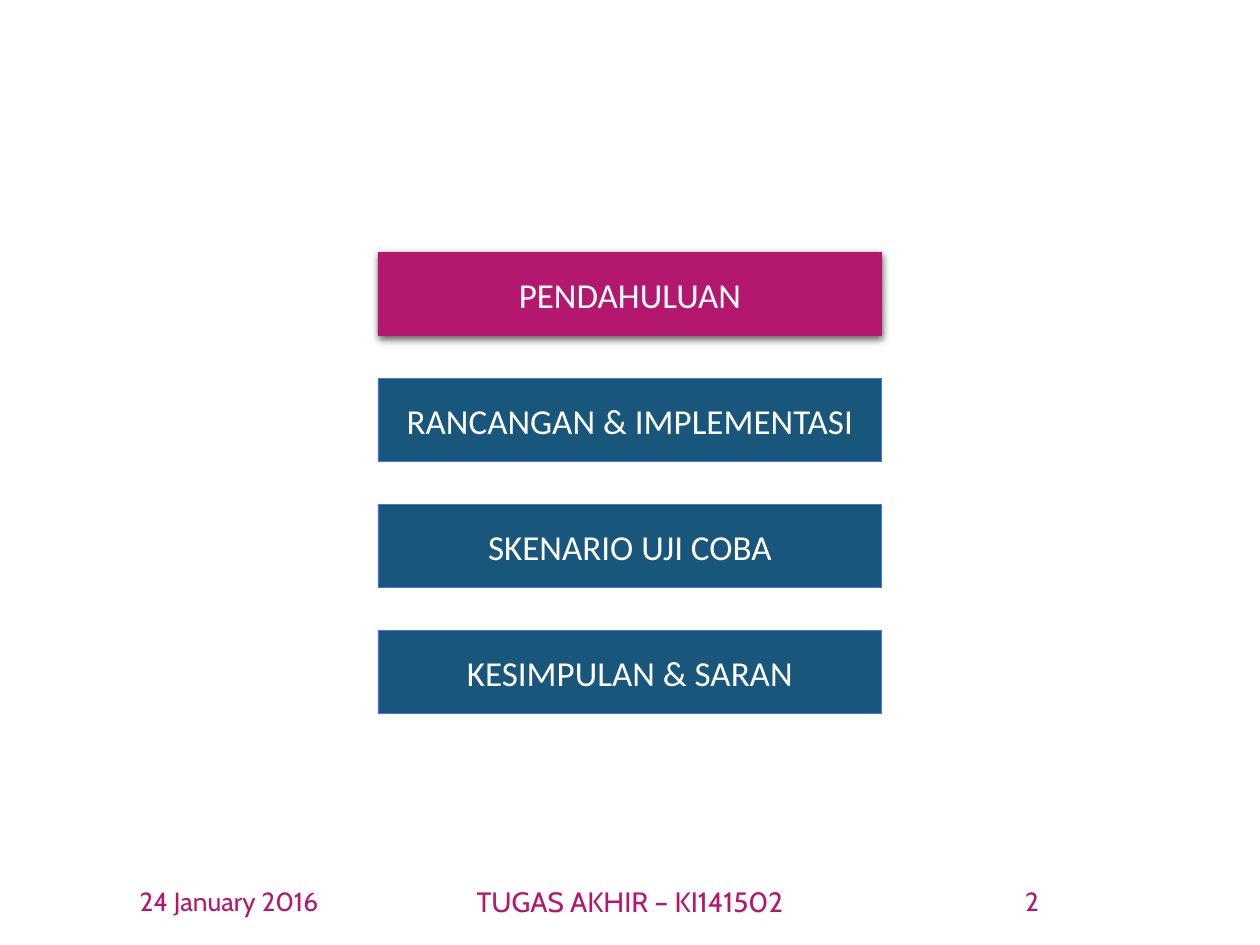
from lxml import etree
from pptx import Presentation
from pptx.dml.color import RGBColor
from pptx.enum.shapes import MSO_SHAPE
from pptx.enum.text import MSO_ANCHOR, PP_ALIGN
from pptx.oxml.ns import qn
from pptx.util import Emu, Pt

RECT = MSO_SHAPE.RECTANGLE
MIDDLE = MSO_ANCHOR.MIDDLE
CENTER = PP_ALIGN.CENTER

COLORS = {"accent": "B4186E", "blue": "19567C", "edge": "4775E7",
          "white": "FFFFFF", "shadow": "000000"}
AGENDA = ["PENDAHULUAN", "RANCANGAN & IMPLEMENTASI", "SKENARIO UJI COBA", "KESIMPULAN & SARAN"]
CURRENT = 0
FOOTER = [
    ("24 January 2016", 87, 284, 15),
    ("TUGAS AKHIR – KI141502", 417, 426, 16),
    ("2", 890, 284, 15),
]
SLIDE_W, SLIDE_H = 1260, 945
BOX_W, BOX_H, BOX_TOP, PITCH = 504, 84, 252, 126
FOOTER_TOP, FOOTER_H = 876, 50
SHADOW = {"blurRad": Pt(4.5), "dist": Pt(1.5), "dir": 90 * 60000, "algn": "ctr", "rotWithShape": 0}
SHADOW_ALPHA = 63000


def px(n):
    return Emu(round(n * 914400 / 126))


def rgb(name):
    return RGBColor.from_string(COLORS[name])


def write(sp, text, color, wrap, fmt):
    tf = sp.text_frame
    tf.word_wrap = wrap
    tf.vertical_anchor = MIDDLE
    p = tf.paragraphs[0]
    p.alignment = CENTER
    r = p.add_run()
    r.text = text
    for key, value in fmt.items():
        setattr(r.font, key, value)
    r.font.color.rgb = rgb(color)


def add_shadow(sp):
    effects = sp._element.spPr.find(qn("a:effectLst"))
    outer = etree.SubElement(effects, qn("a:outerShdw"),
                             {key: str(value) for key, value in SHADOW.items()})
    color = etree.SubElement(outer, qn("a:srgbClr"), val=COLORS["shadow"])
    etree.SubElement(color, qn("a:alpha"), val=str(SHADOW_ALPHA))


prs = Presentation()
prs.slide_width, prs.slide_height = px(SLIDE_W), px(SLIDE_H)
s = prs.slides.add_slide(prs.slide_layouts[6])

for text, left, width, size in FOOTER:
    sp = s.shapes.add_textbox(px(left), px(FOOTER_TOP), px(width), px(FOOTER_H))
    write(sp, text, "accent", True, {"name": "Cabin", "size": Pt(size)})

for i, text in enumerate(AGENDA):
    sp = s.shapes.add_shape(RECT, px((SLIDE_W - BOX_W) / 2), px(BOX_TOP + i * PITCH),
                            px(BOX_W), px(BOX_H))
    sp.shadow.inherit = False
    sp.fill.solid()
    if i == CURRENT:
        sp.fill.fore_color.rgb = rgb("accent")
        sp.line.fill.background()
        add_shadow(sp)
    else:
        sp.fill.fore_color.rgb = rgb("blue")
        sp.line.color.rgb = rgb("edge")
        sp.line.width = Pt(0.5)
    write(sp, text, "white", False, {"name": "Calibri", "size": Pt(20)})

prs.save("out.pptx")
